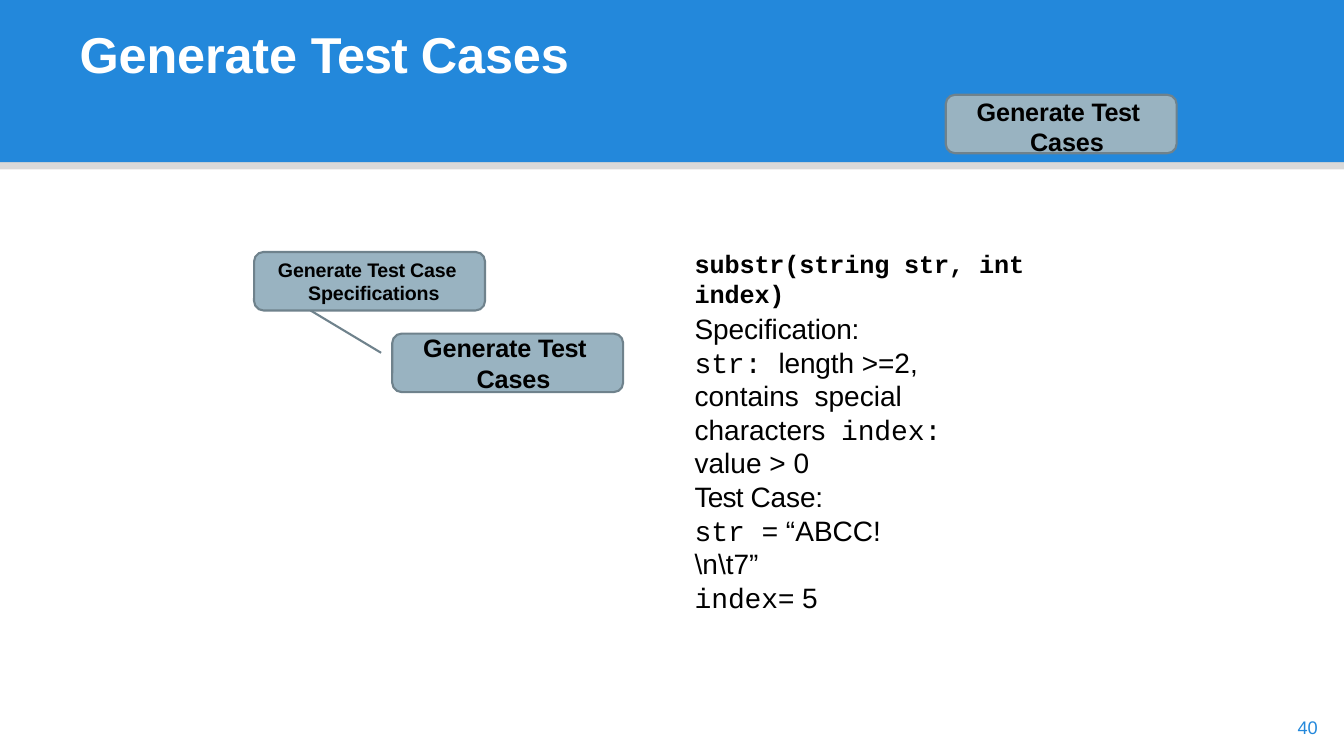
from dataclasses import dataclass

from lxml.etree import SubElement
from pptx import Presentation as Deck
from pptx.dml.color import RGBColor as Color
from pptx.enum.shapes import MSO_CONNECTOR as Link
from pptx.enum.shapes import MSO_SHAPE as Kind
from pptx.enum.text import MSO_ANCHOR as Anchor
from pptx.enum.text import MSO_AUTO_SIZE as Fit
from pptx.enum.text import PP_ALIGN as Align
from pptx.oxml.ns import qn
from pptx.util import Pt

SCALE = 9144
BLUE, STEEL, EDGE = "2388DB", "99B3C1", "6F828C"
BLACK, WHITE = "000000", "FFFFFF"
SANS, MONO = "Arial", "Courier New"


@dataclass
class Run:
    text: str
    gap: int = 0
    font: str = SANS


@dataclass
class Style:
    size: int
    color: str = BLACK
    bold: bool = False
    left: int = 0
    hang: int = 0
    pitch: float | None = None


@dataclass
class Area:
    x: int
    y: int
    w: int
    h: int


@dataclass
class Inset:
    left: int = 1
    top: int = 1
    right: int = 0


@dataclass
class Step:
    area: Area
    inset: Inset
    style: Style
    runs: list[Run]


@dataclass
class Note:
    area: Area
    inset: Inset
    style: Style
    lines: list[list[Run]]


def px(n: int) -> int:
    return n * SCALE


def place(area: Area) -> tuple[int, ...]:
    return tuple(px(n) for n in (area.x, area.y, area.w, area.h))


def paint(form, color: str) -> None:
    if hasattr(form, "solid"):
        form.solid()
        form.fore_color.rgb = Color.from_string(color)
    else:
        form.color.rgb = Color.from_string(color)


def write(frame, lines: list[list[Run]], style: Style, inset: Inset,
          anchor=Anchor.TOP) -> None:
    frame.word_wrap = True
    frame.auto_size = Fit.NONE
    frame.vertical_anchor = anchor
    frame.margin_left = px(inset.left)
    frame.margin_top = px(inset.top)
    frame.margin_right = px(inset.right)
    frame.margin_bottom = 0
    for i, line in enumerate(lines):
        para = frame.paragraphs[0] if i == 0 else frame.add_paragraph()
        para.alignment = Align.LEFT
        if style.pitch:
            para.line_spacing = style.pitch
        props = para._p.get_or_add_pPr()
        props.set("marL", str(px(style.left)))
        props.set("indent", str(px(style.hang)))
        for part in line:
            run = para.add_run()
            run.text = part.text
            run.font.name = part.font
            run.font.size = Pt(style.size)
            run.font.bold = style.bold
            paint(run.font, style.color)
            run._r.get_or_add_rPr().set("spc", str(part.gap))


def draw_band(slide, area: Area, color: str, alpha: int = 100) -> None:
    band = slide.shapes.add_shape(Kind.RECTANGLE, *place(area))
    band.shadow.inherit = False
    paint(band.fill, color)
    band.line.fill.background()
    if alpha < 100:
        tint = band.fill._xPr.find(".//" + qn("a:srgbClr"))
        SubElement(tint, qn("a:alpha")).set("val", str(alpha * 1000))


def draw_step(slide, step: Step) -> None:
    box = slide.shapes.add_shape(Kind.ROUNDED_RECTANGLE, *place(step.area))
    box.adjustments[0] = 0.16
    box.shadow.inherit = False
    paint(box.fill, STEEL)
    paint(box.line, EDGE)
    box.line.width = Pt(1.5)
    write(box.text_frame, [step.runs], step.style, step.inset, Anchor.MIDDLE)


def draw_note(slide, note: Note) -> None:
    box = slide.shapes.add_textbox(*place(note.area))
    write(box.text_frame, note.lines, note.style, note.inset)


def draw_link(slide, x: int, y: int, end_x: int, end_y: int) -> None:
    link = slide.shapes.add_connector(
        Link.STRAIGHT, px(x), px(y), px(end_x), px(end_y))
    paint(link.line, EDGE)
    link.line.width = Pt(1.5)
    SubElement(link._element.spPr, qn("a:effectLst"))


SMALL = Style(14, bold=True, left=31, hang=-30, pitch=Pt(16.5))
LARGE = Style(18, bold=True, left=54, hang=-53, pitch=1.01)
BODY = Style(20)
WIDE = Run(" ", 550)
CASES = [Run("Generate ", -10), Run("Test ", -40), Run("Cases", -10)]

STEPS = [
    Step(Area(252, 250, 229, 58), Inset(20, 1, 10), SMALL,
         [Run("Generate ", -10), Run("Test ", -30),
          Run("Case Specifications", -10)]),
    Step(Area(389, 331, 229, 58), Inset(27, 0, 10), LARGE, CASES),
    Step(Area(938, 94, 229, 58), Inset(27, 5, 10), LARGE, CASES),
]

NOTES = [
    Note(Area(688, 245, 400, 33), Inset(), Style(18, bold=True),
         [[Run("substr(string str, int index)", -10, MONO)]]),
    Note(Area(688, 308, 327, 136), Inset(right=57), BODY, [
        [Run("Specification:", -10)],
        [Run("str", -10, MONO), Run(": ", 0, MONO), Run("lengt", -10),
         Run("h"), Run(" >=2", -10), Run(", contains"), WIDE,
         Run("special characters"), WIDE,
         Run("index", -10, MONO), Run(": ", 0, MONO), Run("value > 0")],
    ]),
    Note(Area(688, 475, 242, 103), Inset(), BODY, [
        [Run("Test ", -60), Run("Case:", -10)],
        [Run("st", -10, MONO), Run("r ", 0, MONO), Run(r"= “ABCC!\n\t7”")],
        [Run("index", -10, MONO), Run("= ", -10), Run("5")],
    ]),
    Note(Area(1283, 710, 38, 21), Inset(4), Style(13, BLUE), [[Run("40")]]),
]


def main() -> None:
    deck = Deck()
    deck.slide_width, deck.slide_height = px(1333), px(750)
    slide = deck.slides.add_slide(deck.slide_layouts[5])
    draw_band(slide, Area(0, 0, 1333, 161), BLUE)
    draw_band(slide, Area(0, 161, 1333, 7), BLACK, 15)

    title = slide.shapes.title
    slide.shapes._spTree.append(title._element)
    title.left, title.top, title.width, title.height = place(
        Area(77, 21, 1179, 61))
    write(title.text_frame,
          [[Run("Generate ", -10), Run("Test ", -70), Run("Cases", -10)]],
          Style(36, WHITE, True), Inset(left=2, top=2))

    draw_link(slide, 308, 308, 378, 350)
    for step in STEPS:
        draw_step(slide, step)
    for note in NOTES:
        draw_note(slide, note)
    deck.save("out.pptx")


if __name__ == "__main__":
    main()
